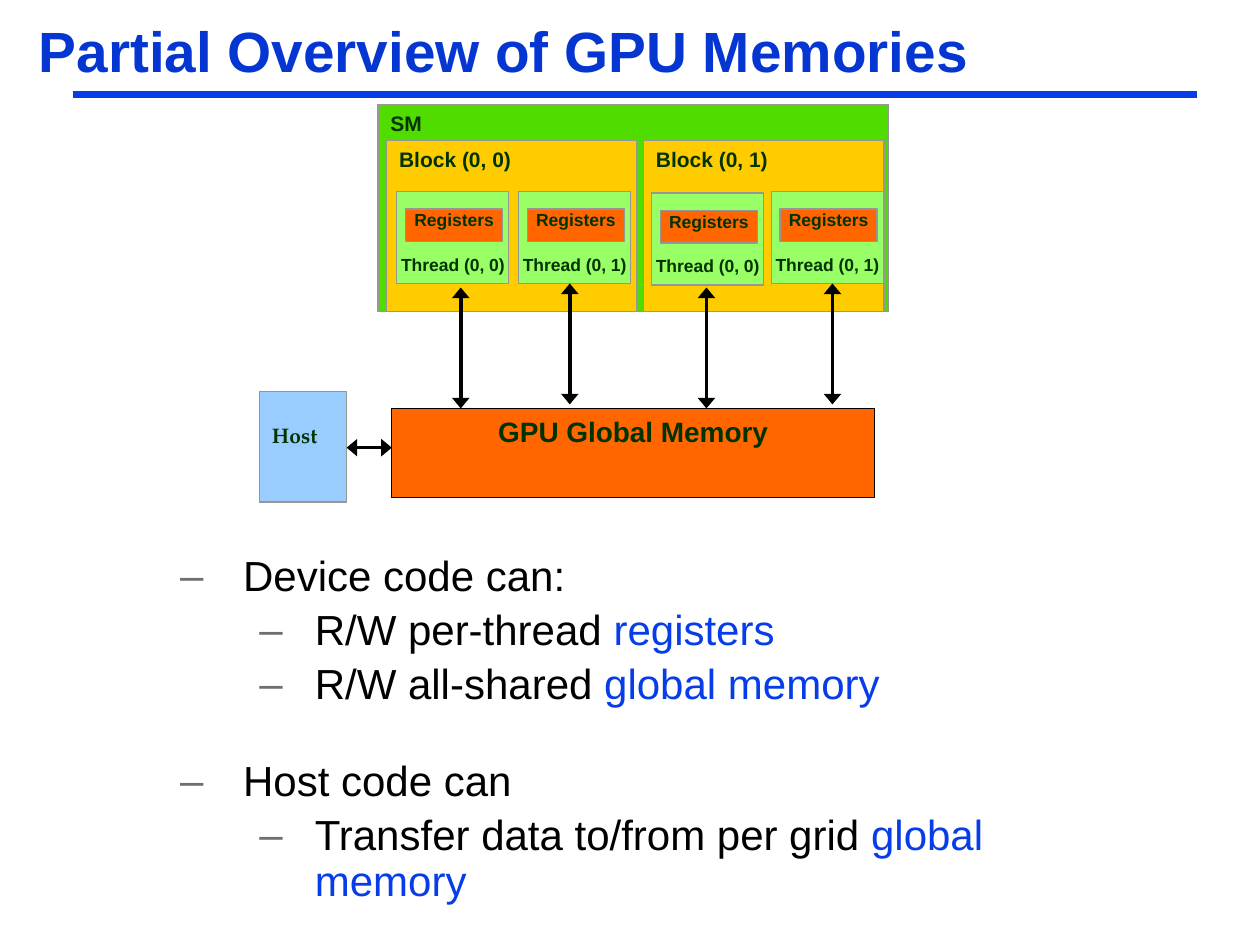
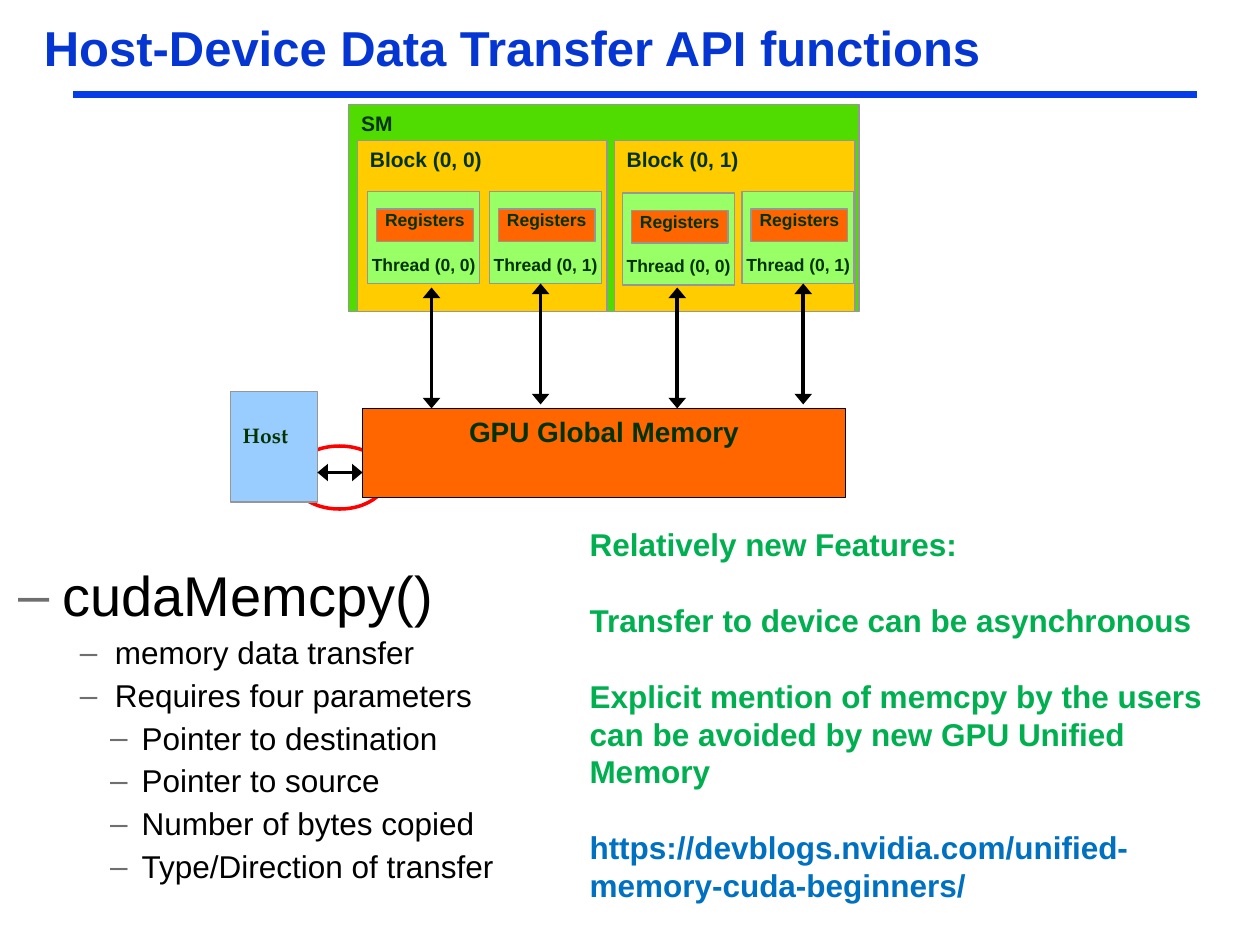
from pptx import Presentation
from pptx.dml.color import RGBColor
from pptx.enum.shapes import MSO_CONNECTOR, MSO_SHAPE
from pptx.enum.text import MSO_ANCHOR, PP_ALIGN
from pptx.oxml.ns import qn
from pptx.util import Pt
from lxml.etree import SubElement

# Shared colours and font
TITLE_BLUE = RGBColor(0x05, 0x36, 0xD2)
ACCENT_BLUE = RGBColor(0x06, 0x3D, 0xE8)
LINK_BLUE = RGBColor(0x00, 0x70, 0xC0)
HOST_BLUE = RGBColor(0x99, 0xCC, 0xFF)
SM_GREEN = RGBColor(0x51, 0xDC, 0x00)
THREAD_GREEN = RGBColor(0x99, 0xFF, 0x66)
NOTE_GREEN = RGBColor(0x00, 0xB0, 0x50)
LABEL_GREEN = RGBColor(0x00, 0x33, 0x00)
BLOCK_YELLOW = RGBColor(0xFF, 0xCC, 0x00)
MEMORY_ORANGE = RGBColor(0xFF, 0x66, 0x00)
RING_RED = RGBColor(0xFF, 0x00, 0x00)
EDGE_GREY = RGBColor(0x96, 0x96, 0x96)
DASH_GREY = "6F6F6F"
BLACK = RGBColor(0x00, 0x00, 0x00)
FONT = "Arial"

DEFAULT_INSETS = (7.2, 3.6, 7.2, 3.6)


def set_font(paragraph, size, color, bold=False, name=FONT):
    font = paragraph.font
    font.name, font.size, font.bold = name, Pt(size), bold
    font.color.rgb = color


def set_insets(frame, insets):
    (frame.margin_left, frame.margin_top,
     frame.margin_right, frame.margin_bottom) = map(Pt, insets)


def add_line(slide, start, end, color, width, arrows=False):
    line = slide.shapes.add_connector(
        MSO_CONNECTOR.STRAIGHT, *map(Pt, (*start, *end)))
    line.line.color.rgb = color
    line.line.width = Pt(width)
    properties = line.line._get_or_add_ln()
    if arrows:
        for tip in ("a:headEnd", "a:tailEnd"):
            SubElement(properties, qn(tip), type="triangle", w="lg", len="med")
    SubElement(properties.getparent(), qn("a:effectLst"))


def add_box(slide, at, fill, label, size=12, edge=EDGE_GREY, align=PP_ALIGN.LEFT,
            insets=DEFAULT_INSETS, font_name=FONT):
    box = slide.shapes.add_shape(MSO_SHAPE.RECTANGLE, *map(Pt, at))
    box.shadow.inherit = False
    box.fill.solid()
    box.fill.fore_color.rgb = fill
    box.line.color.rgb = edge
    box.line.width = Pt(0.75)
    frame = box.text_frame
    frame.word_wrap = True
    frame.vertical_anchor = MSO_ANCHOR.TOP
    set_insets(frame, insets)
    paragraph = frame.paragraphs[0]
    paragraph.text = label
    paragraph.alignment = align
    set_font(paragraph, size, LABEL_GREEN, bold=True, name=font_name)


def add_text_frame(slide, at):
    frame = slide.shapes.add_textbox(*map(Pt, at)).text_frame
    frame.word_wrap = True
    return frame


def next_paragraph(frame, index):
    return frame.add_paragraph() if index else frame.paragraphs[0]


def add_header(slide, title, left, size):
    """Title with the blue rule below it."""
    add_line(slide, (41.76, 54), (684, 54), ACCENT_BLUE, 4.5)
    frame = add_text_frame(slide, (left, 10.8, 654.5, 36.7))
    frame.vertical_anchor = MSO_ANCHOR.TOP
    heading = frame.paragraphs[0]
    heading.text = title
    heading.line_spacing = 0.87
    set_font(heading, size, TITLE_BLUE, bold=True)


def add_dashes(slide, at, items, indents):
    """Dashed list; items are (level, size, text, highlight, space before)."""
    frame = add_text_frame(slide, at)
    for index, (level, size, text, highlight, before) in enumerate(items):
        paragraph = next_paragraph(frame, index)
        paragraph.level = level
        paragraph.line_spacing = 0.9
        paragraph.space_before = Pt(before)
        paragraph.space_after = Pt(2.5)
        margin, hanging = indents[level]
        properties = paragraph._p.get_or_add_pPr()
        properties.set("marL", str(Pt(margin)))
        properties.set("indent", str(-Pt(hanging)))
        dash_color = SubElement(properties, qn("a:buClr"))
        SubElement(dash_color, qn("a:srgbClr"), val=DASH_GREY)
        SubElement(properties, qn("a:buFont"), typeface=FONT)
        SubElement(properties, qn("a:buChar"), char="–")
        set_font(paragraph, size, BLACK)
        paragraph.add_run().text = text
        if highlight:
            term = paragraph.add_run()
            term.text = highlight
            term.font.color.rgb = ACCENT_BLUE


def add_thread(slide, left, top, number):
    add_box(slide, (left, top, 64, 52.6), THREAD_GREEN, f"Thread (0, {number})",
            size=10, align=PP_ALIGN.CENTER, insets=(0, 35.6, 0, 0))
    add_box(slide, (left + 5, top + 10, 55.4, 18.5), MEMORY_ORANGE, "Registers",
            size=10, align=PP_ALIGN.CENTER, insets=(0, 0, 0, 0))


def add_memory_diagram(slide, left, transfer_y):
    """Host, SM with blocks and threads, and global memory."""
    add_box(slide, (left - 67.7, 223.9, 49.8, 63), HOST_BLUE, "Host",
            insets=(7.2, 17.6, 7.2, 3.6), font_name="TeX Gyre Pagella")
    add_box(slide, (left, 59.8, 291.6, 118.1), SM_GREEN, "SM")
    add_box(slide, (left + 7.9, 233.3, 275.9, 51.1), MEMORY_ORANGE,
            "GPU Global Memory", size=16, edge=BLACK, align=PP_ALIGN.CENTER)

    # Blocks
    for number, (offset, width) in enumerate([(5, 142.6), (151.7, 137.5)]):
        add_box(slide, (left + offset, 80.3, width, 97.6), BLOCK_YELLOW,
                f"Block (0, {number})")

    # Threads: offset, top, number, arrow offset, arrow top
    threads = [(10.8, 109.4, 0, 47.3, 164.3), (80.4, 109.4, 1, 109.6, 162),
               (156.4, 110.3, 0, 187.7, 164.3), (224.8, 109.4, 1, 259.7, 162)]
    for offset, top, number, arrow_offset, arrow_top in threads:
        add_thread(slide, left + offset, top, number)
        arrow_x = left + arrow_offset
        add_line(slide, (arrow_x, arrow_top), (arrow_x, arrow_top + 69.1),
                 BLACK, 2, arrows=True)

    # Transfer between host and device
    add_line(slide, (left + 7.9, transfer_y), (left - 17.9, transfer_y),
             BLACK, 2, arrows=True)


def add_ring(slide, at):
    ring = slide.shapes.add_shape(MSO_SHAPE.OVAL, *map(Pt, at))
    ring.shadow.inherit = False
    ring.fill.background()
    ring.line.color.rgb = RING_RED
    ring.line.width = Pt(2)


def add_notes_column(slide, at, notes):
    frame = add_text_frame(slide, at)
    for index, (text, color) in enumerate(notes):
        paragraph = next_paragraph(frame, index)
        paragraph.text = text
        paragraph.space_before = Pt(21.7 if index else 0)
        set_font(paragraph, 18, color, bold=True)


def build_overview(slide):
    add_header(slide, "Partial Overview of GPU Memories", 15.1, 32.4)
    add_dashes(slide, (95.8, 313.9, 510.5, 204.5), [
        (0, 24, "Device code can:", "", 0),
        (1, 24, "R/W per-thread ", "registers", 2.5),
        (1, 24, "R/W all-shared ", "global memory", 2.5),
        (0, 24, "Host code can", "", 27),
        (1, 24, "Transfer data to/from per grid", " global memory", 2.5),
    ], [(36, 36), (77, 31.7)])
    add_memory_diagram(slide, 216, 255.8)


def build_transfer(slide):
    add_header(slide, "Host-Device Data Transfer API functions", 18, 28)
    parameters = ["Pointer to destination", "Pointer to source",
                  "Number of bytes copied", "Type/Direction of transfer"]
    add_dashes(slide, (3.6, 321.1, 382.3, 216), [
        (0, 32, "cudaMemcpy()", "", 0),
        (1, 18, "memory data transfer", "", 2.5),
        (1, 18, "Requires four parameters", "", 2.5),
        *[(2, 18, parameter, "", 2.5) for parameter in parameters],
    ], [(25, 25), (55, 20), (70.3, 18)])
    add_ring(slide, (167, 254.9, 54, 36))
    add_memory_diagram(slide, 199.3, 270)
    add_notes_column(slide, (329.8, 296.6, 373.7, 240), [
        ("Relatively new Features:", NOTE_GREEN),
        ("Transfer to device can be asynchronous", NOTE_GREEN),
        ("Explicit mention of memcpy by the users can be avoided by new "
         "GPU Unified Memory", NOTE_GREEN),
        ("https://devblogs.nvidia.com/unified-memory-cuda-beginners/", LINK_BLUE),
    ])


def main():
    deck = Presentation()
    deck.slide_width, deck.slide_height = Pt(720), Pt(540)
    blank = deck.slide_layouts[6]
    for build in (build_overview, build_transfer):
        build(deck.slides.add_slide(blank))
    deck.save("out.pptx")


if __name__ == "__main__":
    main()
